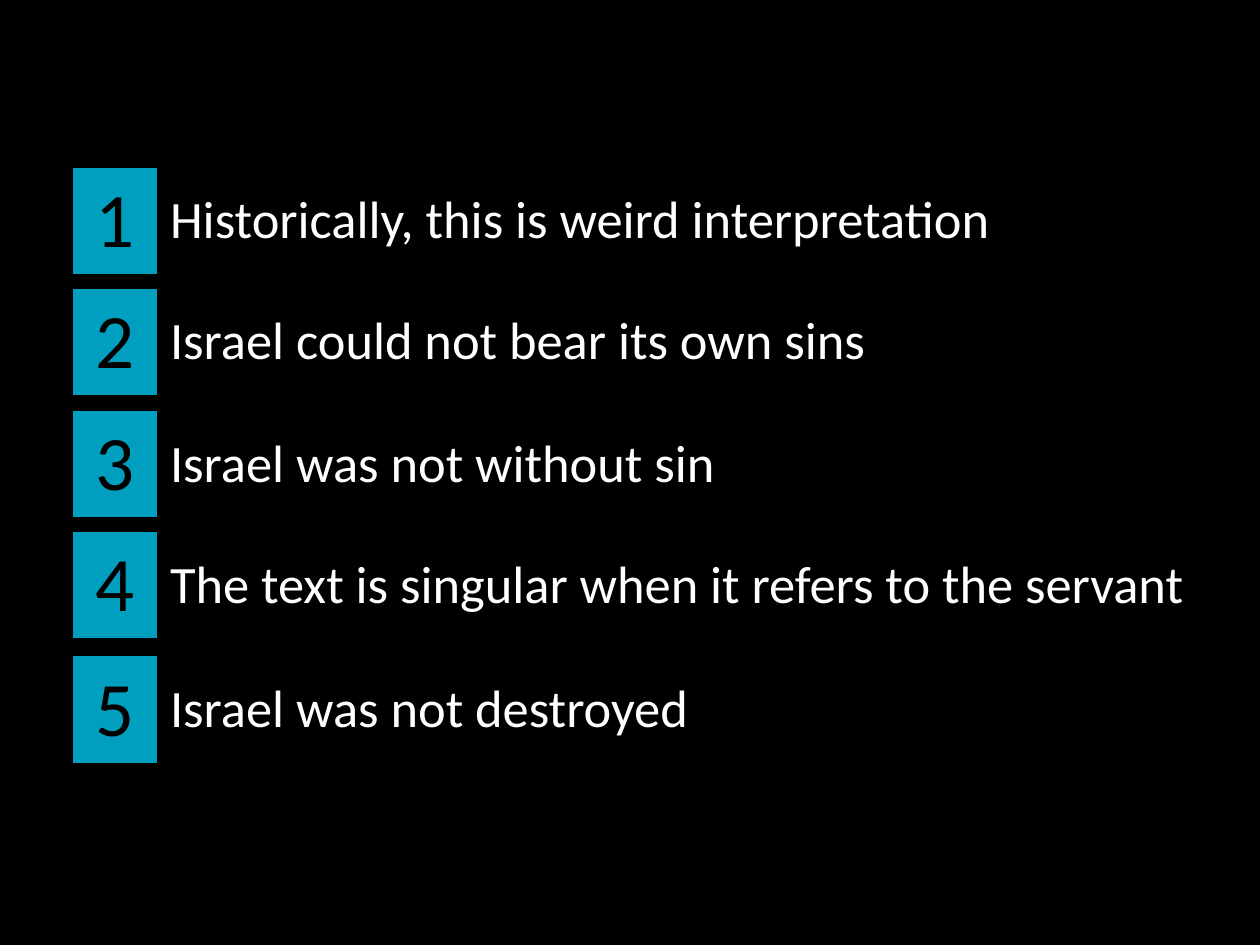
"""Build a slide with five numbered arguments on a black background."""
from pptx import Presentation
from pptx.dml.color import RGBColor
from pptx.enum.text import MSO_ANCHOR, PP_ALIGN
from pptx.oxml.ns import qn
from pptx.util import Inches, Pt

BLACK = RGBColor(0x00, 0x00, 0x00)
WHITE = RGBColor(0xFF, 0xFF, 0xFF)
TEAL = RGBColor(0x00, 0x9F, 0xC0)
FONT = "Calibri"
NO_STYLE_NO_GRID = "{2D5ABB26-0587-4C30-8999-92F81FD0307C}"

LEFT, NUMBER_WIDTH, ROW_HEIGHT = 0.58, 0.67, 0.83
WIDE, NARROW = 8.67, 7.84
ARGUMENTS = [
    (1.33, WIDE, "Historically, this is weird interpretation"),
    (2.29, NARROW, "Israel could not bear its own sins"),
    (3.26, NARROW, "Israel was not without sin"),
    (4.22, WIDE, "The text is singular when it refers to the servant"),
    (5.21, WIDE, "Israel was not destroyed"),
]


def set_text(cell, text, size, color, align):
    cell.text = text
    p = cell.text_frame.paragraphs[0]
    p.alignment = align
    p.font.name = FONT
    p.font.size = Pt(size)
    p.font.color.rgb = color


def add_argument(slide, number, top, text_width, text):
    frame = slide.shapes.add_table(
        1, 2, Inches(LEFT), Inches(top),
        Inches(NUMBER_WIDTH + text_width), Inches(ROW_HEIGHT))
    table = frame.table
    table.first_row = table.horz_banding = False
    frame.element.find(".//" + qn("a:tableStyleId")).text = NO_STYLE_NO_GRID
    for column, width in zip(table.columns, (NUMBER_WIDTH, text_width)):
        column.width = Inches(width)

    number_cell, text_cell = table.rows[0].cells
    set_text(number_cell, str(number), 44, BLACK, PP_ALIGN.CENTER)
    number_cell.fill.solid()
    number_cell.fill.fore_color.rgb = TEAL
    set_text(text_cell, text, 30, WHITE, PP_ALIGN.LEFT)
    text_cell.fill.background()
    text_cell.vertical_anchor = MSO_ANCHOR.MIDDLE


def main():
    prs = Presentation()
    prs.slide_width, prs.slide_height = Inches(10), Inches(7.5)
    slide = prs.slides.add_slide(prs.slide_layouts[6])
    slide.background.fill.solid()
    slide.background.fill.fore_color.rgb = BLACK
    for number, argument in enumerate(ARGUMENTS, start=1):
        add_argument(slide, number, *argument)
    prs.save("out.pptx")


if __name__ == "__main__":
    main()
